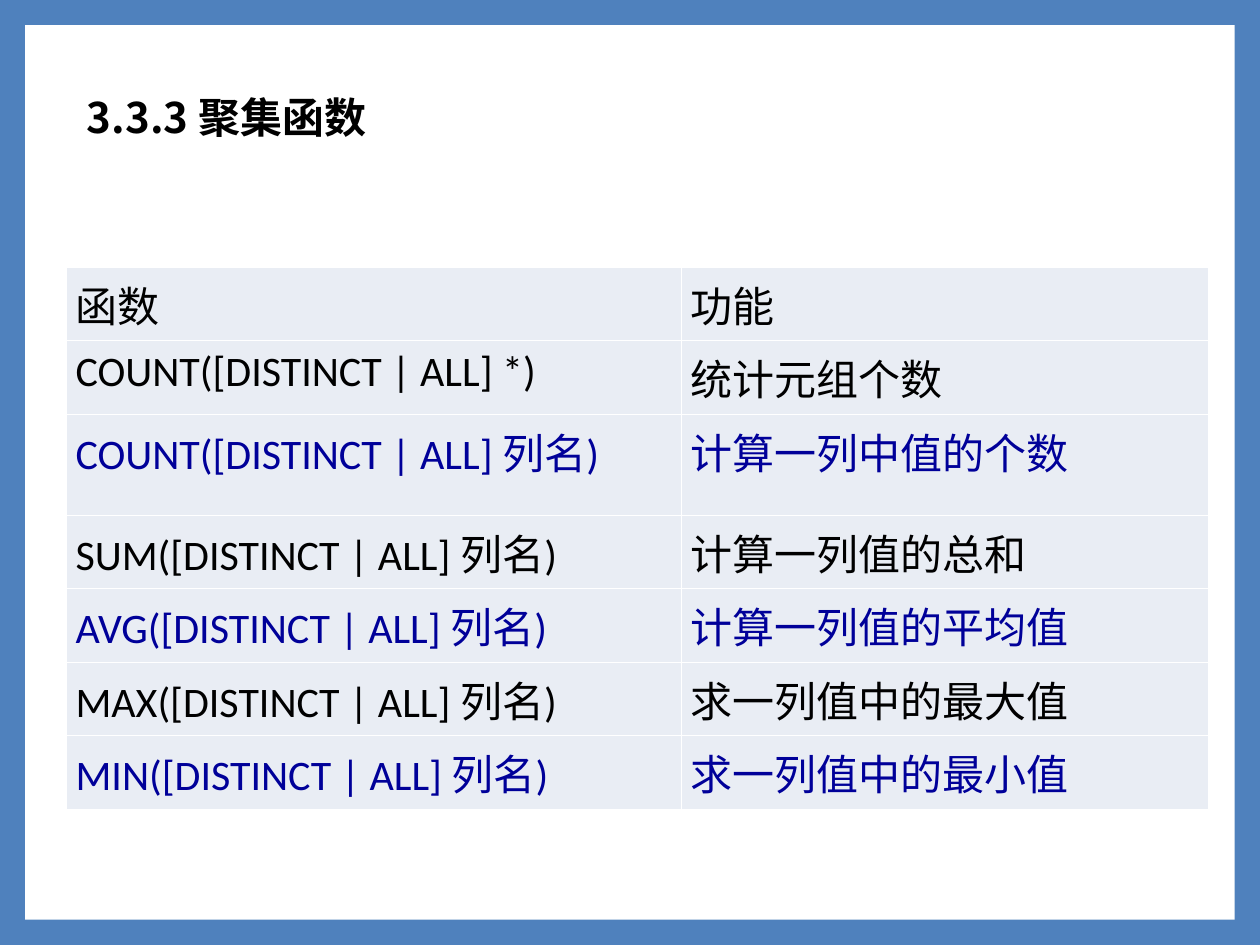
from lxml.etree import SubElement
from pptx import Presentation
from pptx.dml.color import RGBColor
from pptx.enum.shapes import MSO_SHAPE
from pptx.enum.text import MSO_ANCHOR, PP_ALIGN
from pptx.oxml.ns import qn
from pptx.util import Inches, Pt

FRAME_BLUE = RGBColor(0x4F, 0x81, 0xBD)
WHITE = RGBColor(0xFF, 0xFF, 0xFF)
BLACK = RGBColor(0x00, 0x00, 0x00)
NAVY = RGBColor(0x00, 0x00, 0x99)
CELL_TINT = RGBColor(0xE9, 0xED, 0xF4)
LATIN_FONT = "Calibri"
CHINESE_FONT = "Noto Sans CJK SC"

FUNCTIONS = [
    ("函数", "功能", BLACK),
    ("COUNT([DISTINCT | ALL] *)", "统计元组个数", BLACK),
    ("COUNT([DISTINCT | ALL] 列名)", "计算一列中值的个数", NAVY),
    ("SUM([DISTINCT | ALL] 列名)", "计算一列值的总和", BLACK),
    ("AVG([DISTINCT | ALL] 列名)", "计算一列值的平均值", NAVY),
    ("MAX([DISTINCT | ALL] 列名)", "求一列值中的最大值", BLACK),
    ("MIN([DISTINCT | ALL] 列名)", "求一列值中的最小值", NAVY),
]
COLUMN_WIDTHS = [4.88, 4.18]
ROW_HEIGHTS = [0.56, 0.56, 0.8, 0.56, 0.56, 0.56, 0.56]


def format_text(frame, color, latin, bold=False):
    para = frame.paragraphs[0]
    para.alignment = PP_ALIGN.LEFT
    for span in para.runs:
        span.font.size = Pt(24)
        span.font.bold = bold
        span.font.name = latin
        span.font.color.rgb = color
        SubElement(span._r.get_or_add_rPr(), qn("a:ea"), typeface=CHINESE_FONT)


def add_cell_borders(cell):
    properties = cell._tc.get_or_add_tcPr()
    for index, side in enumerate(("a:lnL", "a:lnR", "a:lnT", "a:lnB")):
        line = properties.makeelement(qn(side), {"w": str(Pt(0.45))})
        fill = SubElement(line, qn("a:solidFill"))
        SubElement(fill, qn("a:srgbClr"), val=str(WHITE))
        properties.insert(index, line)


def add_panel(slide, left, top, width, height):
    # White page inside the blue frame, behind everything else
    slide.background.fill.solid()
    slide.background.fill.fore_color.rgb = FRAME_BLUE
    panel = slide.shapes.add_shape(MSO_SHAPE.RECTANGLE, left, top, width, height)
    panel.shadow.inherit = False
    panel.fill.solid()
    panel.fill.fore_color.rgb = WHITE
    panel.line.fill.background()
    slide.shapes.title.element.addprevious(panel.element)


def place_title(slide, left, top, width, height):
    title = slide.shapes.title
    title.left, title.top, title.width, title.height = left, top, width, height
    title.text_frame.text = "3.3.3 聚集函数"
    title.text_frame.vertical_anchor = MSO_ANCHOR.MIDDLE
    format_text(title.text_frame, BLACK, CHINESE_FONT, bold=True)


def add_function_table(slide, left, top, width, height):
    table = slide.shapes.add_table(
        len(FUNCTIONS), len(COLUMN_WIDTHS), left, top, width, height
    ).table
    for column, column_width in zip(table.columns, COLUMN_WIDTHS):
        column.width = Inches(column_width)
    for row, row_height, (*texts, color) in zip(table.rows, ROW_HEIGHTS, FUNCTIONS):
        row.height = Inches(row_height)
        for cell, text in zip(row.cells, texts):
            cell.text_frame.text = text
            cell.margin_left = cell.margin_right = Inches(0.07)
            cell.margin_top = cell.margin_bottom = Inches(0.05)
            cell.fill.solid()
            cell.fill.fore_color.rgb = CELL_TINT
            add_cell_borders(cell)
            format_text(cell.text_frame, color, LATIN_FONT)


def main():
    deck = Presentation()
    deck.slide_width, deck.slide_height = Inches(10), Inches(7.5)
    slide = deck.slides.add_slide(deck.slide_layouts.get_by_name("Title Only"))
    add_panel(slide, Inches(0.2), Inches(0.2), Inches(9.6), Inches(7.1))
    place_title(slide, Inches(0.59), Inches(0.68), Inches(9.21), Inches(0.5))
    add_function_table(slide, Inches(0.53), Inches(2.12), Inches(9.06), Inches(4.16))
    deck.save("out.pptx")


if __name__ == "__main__":
    main()
